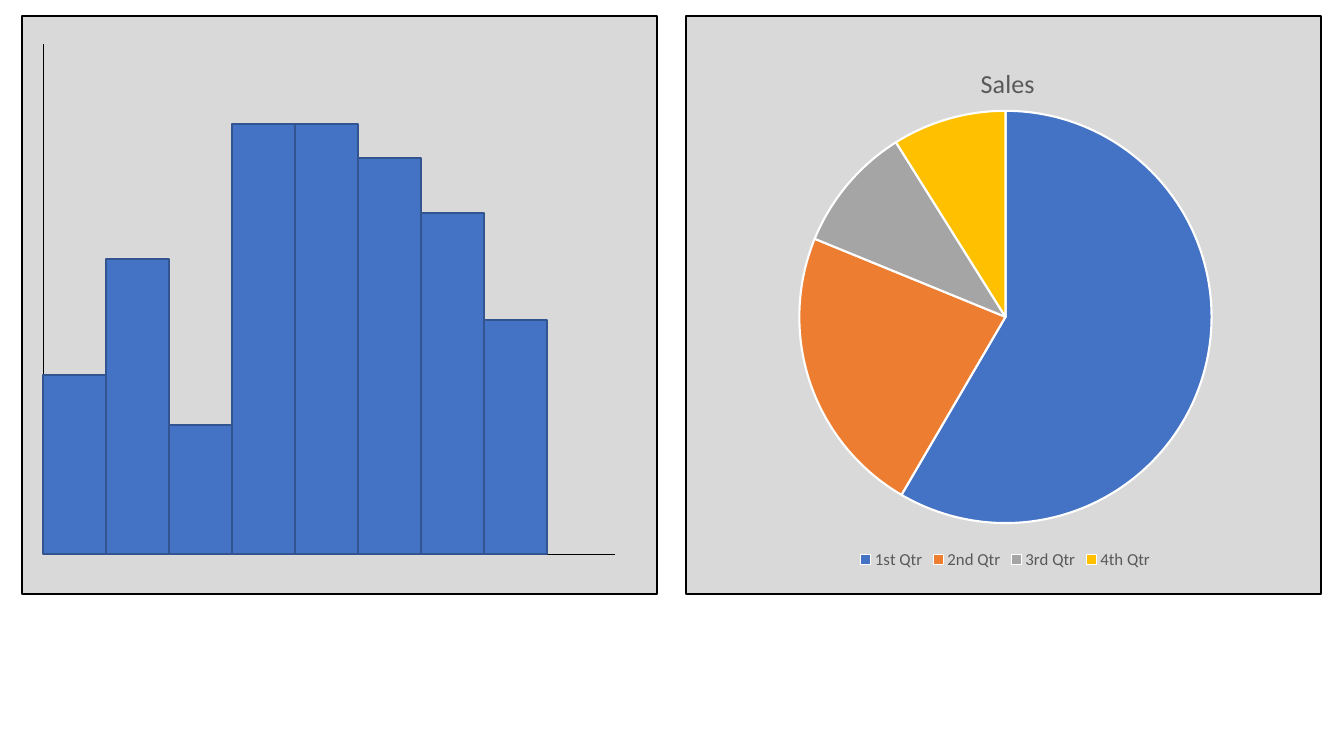
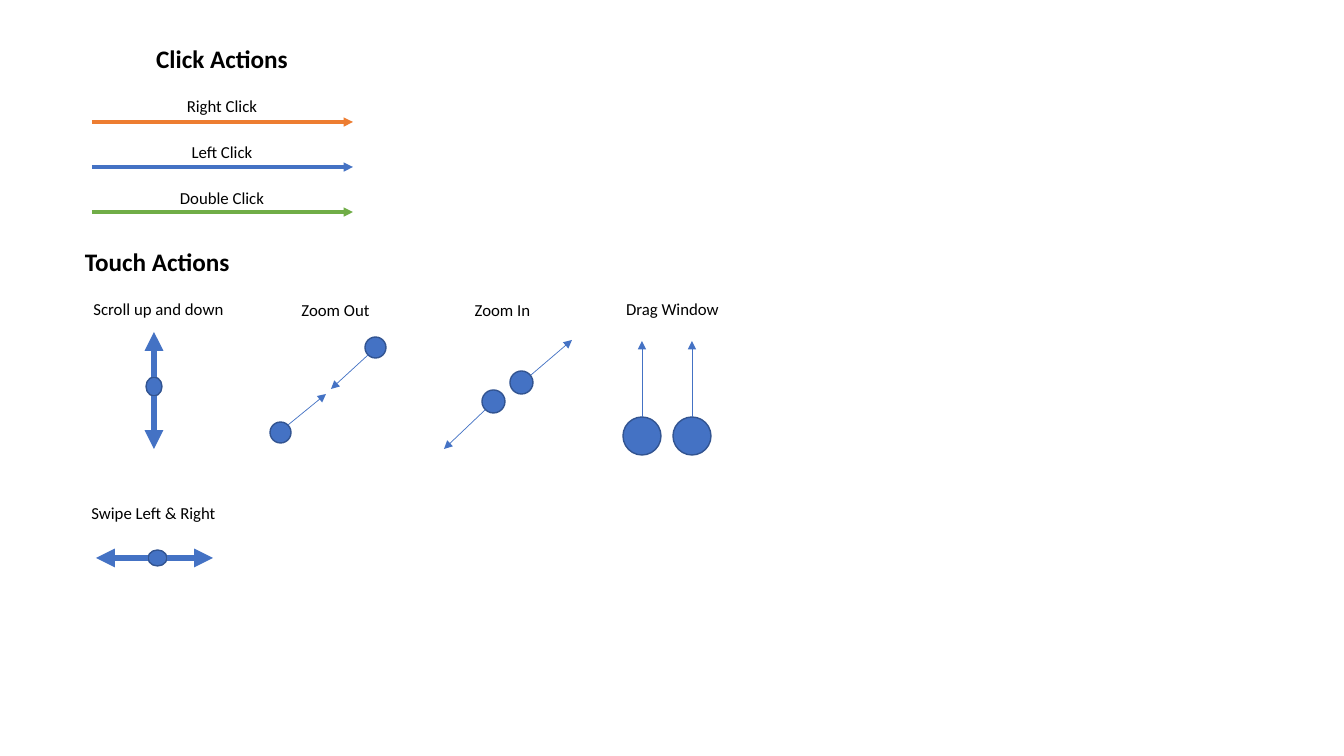
from lxml.etree import SubElement
from pptx import Presentation
from pptx.chart.data import CategoryChartData
from pptx.dml.color import RGBColor
from pptx.enum.chart import XL_CHART_TYPE, XL_LEGEND_POSITION
from pptx.enum.shapes import MSO_CONNECTOR, MSO_SHAPE
from pptx.enum.text import MSO_ANCHOR, PP_ALIGN
from pptx.oxml import parse_xml
from pptx.oxml.ns import nsdecls, qn
from pptx.util import Pt

FONT = "Calibri"
BLACK, WHITE, PANEL, GRAY_TEXT = "000000", "FFFFFF", "D9D9D9", "595959"
BLUE, BLUE_EDGE, ORANGE, GREEN = "4472C4", "325491", "ED7D31", "70AD47"
GRAY, GOLD = "A5A5A5", "FFC000"
TITLE_ONLY, BLANK = 5, 6


def px(length):
    """Turn pixels into EMU."""
    return round(length * 914400 / 100.8)


def rgb(color):
    """Turn a hex string into a colour."""
    return RGBColor.from_string(color)


def set_font(font, size, color, bold=False):
    """Apply the shared typeface with a size, colour and weight."""
    font.name, font.size, font.bold = FONT, Pt(size), bold
    font.color.rgb = rgb(color)


def set_layout(parent, index, **values):
    """Give a chart part a manual layout at a child index."""
    old = parent.find(qn("c:layout"))
    if old is not None:
        parent.remove(old)
    layout = parse_xml(f"<c:layout {nsdecls('c')}><c:manualLayout/></c:layout>")
    for name, value in values.items():
        SubElement(layout[0], qn(f"c:{name}")).set("val", str(value))
    parent.insert(index, layout)


class Deck:
    """Hold the presentation, its style and the current slide."""

    def __init__(self):
        """Start an empty widescreen presentation."""
        self.presentation = Presentation()
        self.presentation.slide_width = px(1344)
        self.presentation.slide_height = px(756)

    def add_slide(self, layout):
        """Make a new slide the current one."""
        layouts = self.presentation.slide_layouts
        self.slide = self.presentation.slides.add_slide(layouts[layout])

    def add_text(self, shape, text, size, bold, align):
        """Put one line of text into a shape."""
        frame = shape.text_frame
        frame.word_wrap = True
        frame.vertical_anchor = MSO_ANCHOR.TOP
        paragraph = frame.paragraphs[0]
        paragraph.alignment = align
        run = paragraph.add_run()
        run.text = text
        set_font(run.font, size, BLACK, bold)

    def title(self, text, left, top, width, height):
        """Place and fill the title placeholder."""
        title = self.slide.shapes.title
        title.left, title.top = px(left), px(top)
        title.width, title.height = px(width), px(height)
        self.add_text(title, text, 18, True, PP_ALIGN.CENTER)

    def label(self, text, left, top, width, height=30, size=12, bold=False,
              align=PP_ALIGN.CENTER):
        """Add a text box."""
        box = self.slide.shapes.add_textbox(px(left), px(top), px(width), px(height))
        self.add_text(box, text, size, bold, align)

    def shape(self, kind, left, top, width, height, fill=BLUE, edge=BLUE_EDGE):
        """Add a filled and outlined shape."""
        shape = self.slide.shapes.add_shape(
            kind, px(left), px(top), px(width), px(height))
        shape.shadow.inherit = False
        shape.fill.solid()
        shape.fill.fore_color.rgb = rgb(fill)
        shape.line.color.rgb = rgb(edge)
        shape.line.width = Pt(1)

    def panel(self, left):
        """Add a gray backdrop for a chart."""
        self.shape(MSO_SHAPE.RECTANGLE, left, 16, 635, 578, PANEL, BLACK)

    def dot(self, left, top, width, height=None):
        """Add a touch point."""
        self.shape(MSO_SHAPE.OVAL, left, top, width, height or width)

    def line(self, start, end, color=BLUE, weight=0.5, arrow=True):
        """Add a straight line, with an arrowhead at its end if wanted."""
        connector = self.slide.shapes.add_connector(
            MSO_CONNECTOR.STRAIGHT, *map(px, start + end))
        connector.line.color.rgb = rgb(color)
        connector.line.width = Pt(weight)
        if arrow:
            outline = connector.line._get_or_add_ln()
            SubElement(outline, qn("a:tailEnd")).set("type", "triangle")
        SubElement(connector._element.spPr, qn("a:effectLst"))

    def pie(self, name, slices, left, top, width, height):
        """Add a titled pie chart from (category, value, colour) rows."""
        data = CategoryChartData()
        data.categories = [category for category, _, _ in slices]
        data.add_series(name, [value for _, value, _ in slices])
        chart = self.slide.shapes.add_chart(
            XL_CHART_TYPE.PIE, px(left), px(top), px(width), px(height), data).chart
        set_font(chart.font, 10, BLACK)
        chart._chartSpace.find(qn("c:txPr")).addprevious(parse_xml(
            f"<c:spPr {nsdecls('c', 'a')}><a:noFill/><a:ln><a:noFill/></a:ln></c:spPr>"))
        chart.has_title = True
        run = chart.chart_title.text_frame.paragraphs[0].add_run()
        run.text = name
        set_font(run.font, 18.6, GRAY_TEXT)
        set_layout(chart.chart_title._element, 1,
                   xMode="edge", yMode="edge", x=0.45, y=0.05)
        chart.has_legend = True
        chart.legend.position = XL_LEGEND_POSITION.BOTTOM
        chart.legend.include_in_layout = False
        set_font(chart.legend.font, 12, GRAY_TEXT)
        plot = chart.plots[0]
        plot.vary_by_categories = True
        for index, (_, _, color) in enumerate(slices):
            style = plot.series[0].points[index].format
            style.fill.solid()
            style.fill.fore_color.rgb = rgb(color)
            style.line.color.rgb = rgb(WHITE)
            style.line.width = Pt(1.5)
        set_layout(chart._chartSpace.chart.plotArea, 0, layoutTarget="inner",
                   xMode="edge", yMode="edge", x=0.15, y=0.14, w=0.7, h=0.77)


def build_charts(deck):
    """Build the histogram and the pie chart."""
    deck.add_slide(BLANK)
    deck.panel(22)
    axis_left, baseline, bar_width = 43, 554, 63
    origin = (axis_left, baseline)
    deck.line((axis_left, 44), origin, BLACK, arrow=False)
    deck.line(origin, (615, baseline), BLACK, arrow=False)
    for index, height in enumerate([179, 295, 129, 430, 430, 396, 341, 234]):
        deck.shape(MSO_SHAPE.RECTANGLE, axis_left + index * bar_width,
                   baseline - height, bar_width, height)
    deck.panel(686)
    slices = [("1st Qtr", 59, BLUE), ("2nd Qtr", 23, ORANGE),
              ("3rd Qtr", 10, GRAY), ("4th Qtr", 9, GOLD)]
    deck.pie("Sales", slices, 711, 33, 589, 541)


def build_actions(deck):
    """Build the legend of click and touch actions."""
    deck.add_slide(TITLE_ONLY)
    deck.title("Click Actions", 131, 38, 182, 40)
    clicks = [("Right Click", 91, 122, ORANGE), ("Left Click", 137, 167, BLUE),
              ("Double Click", 183, 212, GREEN)]
    for text, top, arrow_y, color in clicks:
        deck.label(text, 131, top, 182)
        deck.line((92, arrow_y), (353, arrow_y), color, 2.25)

    deck.label("Touch Actions", 75, 241, 260, 40, 18, True, PP_ALIGN.LEFT)
    labels = [("Scroll up and down", 75, 294, 167), ("Zoom Out", 232, 295, 207),
              ("Zoom In", 399, 295, 207), ("Drag Window", 569, 294, 207),
              ("Swipe Left & Right", 70, 498, 167)]
    for label in labels:
        deck.label(*label)

    dots = [(146, 377, 16, 19), (148, 550, 19, 16), (365, 337, 21), (270, 422, 21),
            (482, 390, 23), (510, 371, 23), (623, 417, 38), (673, 417, 38)]
    for dot in dots:
        deck.dot(*dot)

    swipes = [((154, 396), (154, 449)), ((154, 377), (154, 332)),
              ((148, 558), (96, 558)), ((167, 558), (213, 558))]
    for start, end in swipes:
        deck.line(start, end, weight=4.5)
    moves = [((288, 425), (326, 394)), ((368, 355), (331, 389)),
             ((531, 375), (572, 340)), ((485, 410), (444, 449)),
             ((642, 417), (642, 341)), ((692, 417), (692, 341))]
    for start, end in moves:
        deck.line(start, end)


deck = Deck()
build_charts(deck)
build_actions(deck)
deck.presentation.save("out.pptx")
